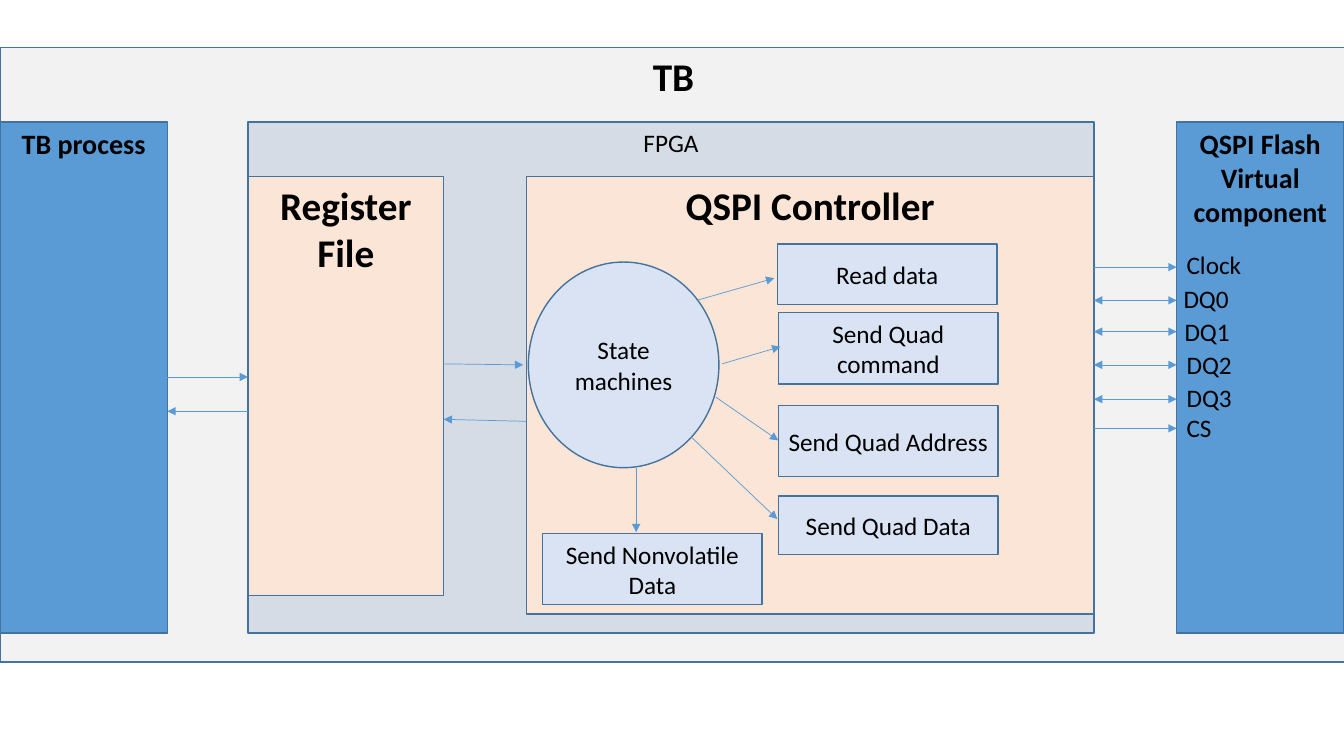
from dataclasses import dataclass

from pptx import Presentation
from pptx.dml.color import RGBColor
from pptx.enum.shapes import MSO_CONNECTOR, MSO_SHAPE
from pptx.enum.text import MSO_ANCHOR, MSO_AUTO_SIZE, PP_ALIGN
from pptx.oxml.ns import qn
from pptx.slide import Slide
from pptx.text.text import TextFrame
from pptx.util import Pt
from lxml.etree import SubElement

PX = 9144  # EMU in one px, at 100 px to the inch
FONT = "Calibri"
COLORS = {
    "text": "000000",
    "outline": "43739E",
    "arrow": "5B9BD5",
    "testbench": "F2F2F2",
    "component": "5B9BD5",
    "fpga": "D6DCE5",
    "module": "FBE5D6",
    "step": "DAE3F3",
}


@dataclass
class Block:
    text: str
    left: int
    top: int
    width: int
    height: int
    color: str
    size: int = 18
    bold: bool = False
    anchor: MSO_ANCHOR = MSO_ANCHOR.TOP
    outline: MSO_SHAPE = MSO_SHAPE.RECTANGLE


@dataclass
class Arrow:
    start_x: int
    start_y: int
    end_x: int
    end_y: int
    both_ways: bool = False


@dataclass
class Signal:
    name: str
    arrow_y: int
    label_left: int
    label_top: int
    label_width: int = 66
    both_ways: bool = True


def step(text: str, left: int, top: int, height: int = 71) -> Block:
    """One action of the controller, all of the same width."""
    return Block(text, left, top, 218, height, "step", anchor=MSO_ANCHOR.MIDDLE)


COMPONENT_TOP, COMPONENT_HEIGHT = 121, 507
MODULE_TOP = 175
PROCESS_RIGHT, FPGA_LEFT = 166, 246
REGISTER_RIGHT, CONTROLLER_LEFT = 440, 522
CONTROLLER_RIGHT, FLASH_LEFT = 1085, 1167
LABEL_HEIGHT = 40

BLOCKS = [
    Block("TB", 0, 47, 1336, 610, "testbench", 28, True),
    Block("TB process", 0, COMPONENT_TOP, PROCESS_RIGHT, COMPONENT_HEIGHT,
          "component", 20, True),
    Block("FPGA", FPGA_LEFT, COMPONENT_TOP, CONTROLLER_RIGHT - FPGA_LEFT,
          COMPONENT_HEIGHT, "fpga"),
    Block("Register File", FPGA_LEFT, MODULE_TOP, REGISTER_RIGHT - FPGA_LEFT, 416,
          "module", 28, True),
    Block("QSPI Controller", CONTROLLER_LEFT, MODULE_TOP,
          CONTROLLER_RIGHT - CONTROLLER_LEFT, 434, "module", 28, True),
    Block("QSPI Flash Virtual component", FLASH_LEFT, COMPONENT_TOP, 166,
          COMPONENT_HEIGHT, "component", 20, True),
    Block("State machines", 524, 260, 189, 204, "step",
          anchor=MSO_ANCHOR.MIDDLE, outline=MSO_SHAPE.OVAL),
    step("Read data", 771, 242, 60),
    step("Send Quad command", 772, 310),
    step("Send Quad Address", 772, 402),
    step("Send Quad Data", 772, 492, 58),
    step("Send Nonvolatile Data", 538, 529),
]

ARROWS = [
    Arrow(PROCESS_RIGHT, 374, FPGA_LEFT, 374),
    Arrow(FPGA_LEFT, 408, PROCESS_RIGHT, 408),
    Arrow(REGISTER_RIGHT, 361, 519, 362),
    Arrow(CONTROLLER_LEFT, 418, REGISTER_RIGHT, 416),
    Arrow(691, 298, 768, 276),
    Arrow(716, 361, 774, 344),
    Arrow(710, 394, 772, 437),
    Arrow(686, 434, 771, 515),
    Arrow(631, 464, 631, 528),
]

SIGNALS = [
    Signal("Clock", 265, 1167, 242, 75, both_ways=False),
    Signal("DQ0", 298, 1164, 276),
    Signal("DQ1", 329, 1165, 309),
    Signal("DQ2", 362, 1167, 342),
    Signal("DQ3", 396, 1167, 374),
    Signal("CS", 425, 1167, 404, 45, both_ways=False),
]


def rgb(name: str) -> RGBColor:
    return RGBColor.from_string(COLORS[name])


def write_text(text_frame: TextFrame, text: str, size: int, bold: bool,
               alignment: PP_ALIGN) -> None:
    text_frame.text = text
    paragraph = text_frame.paragraphs[0]
    paragraph.alignment = alignment
    for run in paragraph.runs:
        run.font.name = FONT
        run.font.size = Pt(size)
        run.font.bold = bold
        run.font.color.rgb = rgb("text")


def draw_block(slide: Slide, block: Block) -> None:
    shape = slide.shapes.add_shape(block.outline, block.left * PX, block.top * PX,
                                   block.width * PX, block.height * PX)
    shape.shadow.inherit = False
    shape.fill.solid()
    shape.fill.fore_color.rgb = rgb(block.color)
    shape.line.color.rgb = rgb("outline")
    shape.line.width = Pt(1)
    shape.text_frame.word_wrap = True
    shape.text_frame.vertical_anchor = block.anchor
    write_text(shape.text_frame, block.text, block.size, block.bold, PP_ALIGN.CENTER)


def draw_arrow(slide: Slide, arrow: Arrow) -> None:
    connector = slide.shapes.add_connector(
        MSO_CONNECTOR.STRAIGHT, arrow.start_x * PX, arrow.start_y * PX,
        arrow.end_x * PX, arrow.end_y * PX)
    connector.line.color.rgb = rgb("arrow")
    connector.line.width = Pt(0.5)
    properties = connector.element.spPr
    line = properties.find(qn("a:ln"))
    for end in ("a:headEnd", "a:tailEnd") if arrow.both_ways else ("a:tailEnd",):
        SubElement(line, qn(end), type="triangle")
    SubElement(properties, qn("a:effectLst"))


def draw_signal(slide: Slide, signal: Signal) -> None:
    """Draw the wire between controller and flash, and its name."""
    draw_arrow(slide, Arrow(CONTROLLER_RIGHT, signal.arrow_y, FLASH_LEFT,
                            signal.arrow_y, signal.both_ways))
    label = slide.shapes.add_textbox(signal.label_left * PX, signal.label_top * PX,
                                     signal.label_width * PX, LABEL_HEIGHT * PX)
    label.text_frame.word_wrap = False
    label.text_frame.auto_size = MSO_AUTO_SIZE.SHAPE_TO_FIT_TEXT
    write_text(label.text_frame, signal.name, 18, False, PP_ALIGN.LEFT)


def main() -> None:
    presentation = Presentation()
    presentation.slide_width = 1333 * PX
    presentation.slide_height = 750 * PX
    slide = presentation.slides.add_slide(presentation.slide_layouts[6])
    for block in BLOCKS:
        draw_block(slide, block)
    for arrow in ARROWS:
        draw_arrow(slide, arrow)
    for signal in SIGNALS:
        draw_signal(slide, signal)
    presentation.save("out.pptx")


if __name__ == "__main__":
    main()
